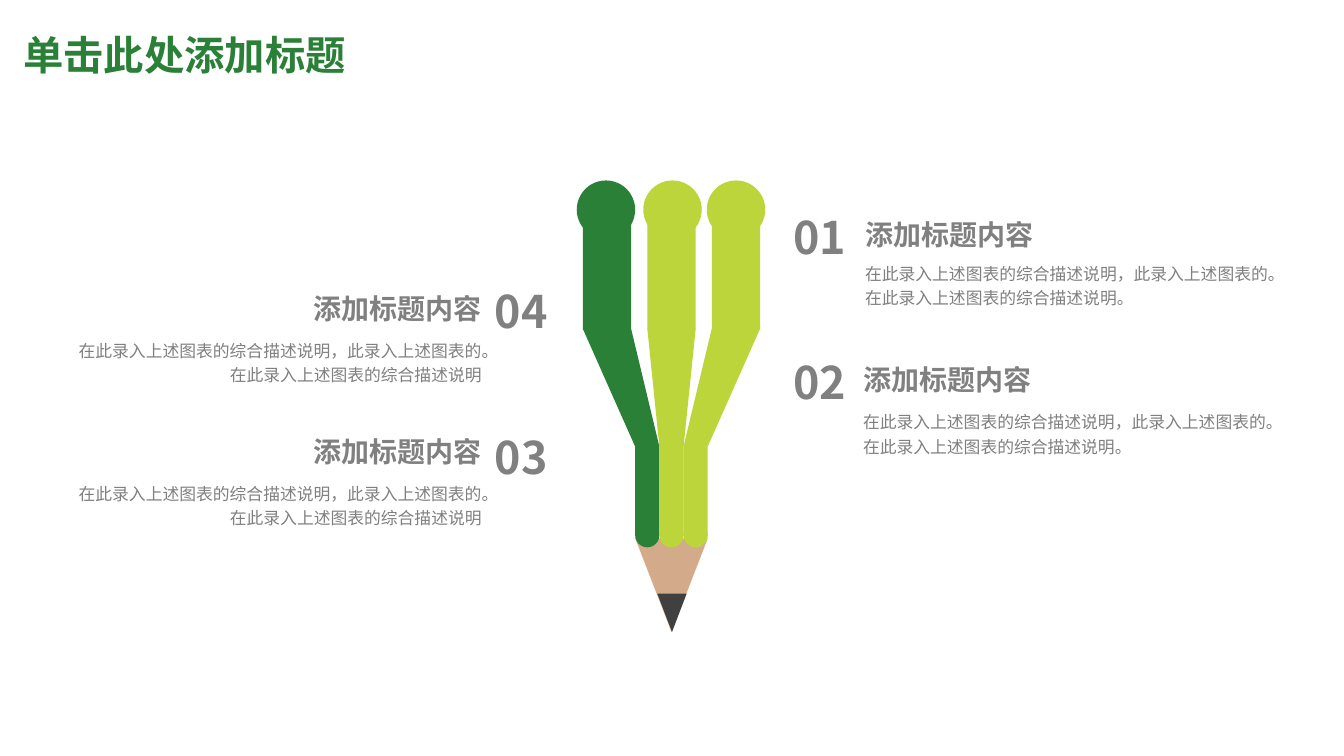
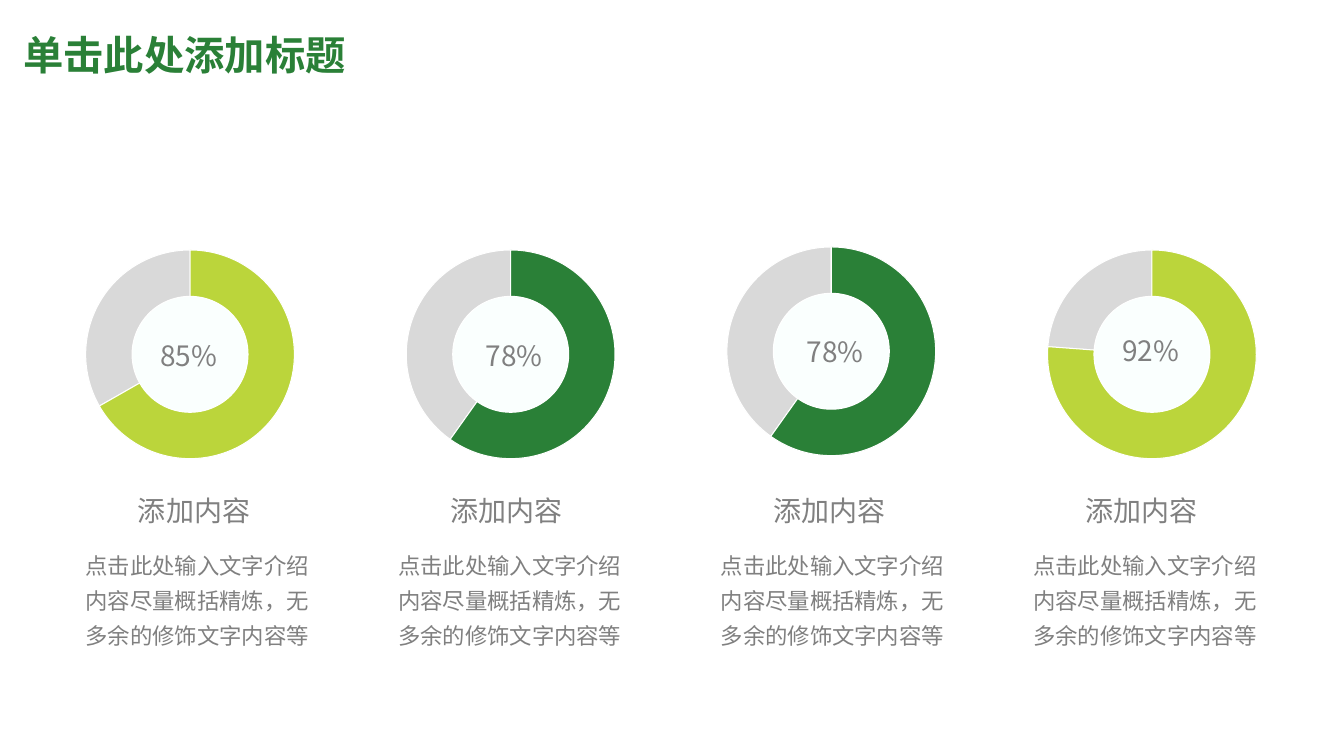
"""Build two slides: a three-strand pencil with four notes, and four ring gauges."""
from lxml import etree
from pptx import Presentation
from pptx.dml.color import RGBColor
from pptx.enum.shapes import MSO_SHAPE
from pptx.enum.text import MSO_ANCHOR, PP_ALIGN
from pptx.oxml import parse_xml
from pptx.oxml.ns import nsdecls, qn
from pptx.util import Inches, Pt

LEFT, RIGHT = PP_ALIGN.LEFT, PP_ALIGN.RIGHT
OVAL, RECT, PIE = MSO_SHAPE.OVAL, MSO_SHAPE.RECTANGLE, MSO_SHAPE.PIE
TRIANGLE = MSO_SHAPE.ISOSCELES_TRIANGLE
GREEN, LIME, GREY, WHITE = "2A8037", "BBD53B", "808080", "FFFFFF"
WOOD, LEAD, TRACK, HOLE = "D3AB8B", "404040", "D9D9D9", "FAFFFE"
FONT = "Noto Sans CJK SC"


def paint(shape, fill, outline=None):
    """Give a shape a flat fill and an optional outline."""
    shape.shadow.inherit = False
    shape.fill.solid()
    shape.fill.fore_color.rgb = RGBColor.from_string(fill)
    if outline:
        shape.line.color.rgb = RGBColor.from_string(outline)
        shape.line.width = Pt(0.75)
    else:
        shape.line.fill.background()


def write(shapes, text, box, size, bold=False, align=LEFT, spacing=None, wrap=True, inset=True):
    """Add a text box holding one grey run."""
    frame = shapes.add_textbox(*map(Inches, box)).text_frame
    frame.word_wrap = wrap
    if not inset:
        frame.margin_left = frame.margin_right = frame.margin_top = frame.margin_bottom = 0
    paragraph = frame.paragraphs[0]
    paragraph.alignment = align
    if spacing:
        paragraph.line_spacing = spacing
    run = paragraph.add_run()
    run.text = text
    run.font.name = FONT
    run.font.size = Pt(size)
    run.font.bold = bold
    run.font.color.rgb = RGBColor.from_string(GREY)
    etree.SubElement(run.font._element, qn("a:ea"), typeface=FONT)


prs = Presentation()
prs.slide_width, prs.slide_height = Inches(13.33), Inches(7.5)

layout = prs.slide_layouts[5]
heading = layout.placeholders[0]
heading.left, heading.top = Inches(0.13), Inches(0.27)
heading.width, heading.height = Inches(12), Inches(0.54)
heading.text_frame.vertical_anchor = MSO_ANCHOR.MIDDLE
heading.element.find(".//" + qn("a:lstStyle")).append(parse_xml(
    f'<a:lvl1pPr {nsdecls("a")} algn="l"><a:defRPr sz="2880" b="1">'
    f'<a:solidFill><a:srgbClr val="{GREEN}"/></a:solidFill>'
    f'<a:latin typeface="Calibri"/><a:ea typeface="{FONT}"/></a:defRPr></a:lvl1pPr>'))

pencil_slide, gauge_slide = [prs.slides.add_slide(layout) for _ in range(2)]
for slide in (pencil_slide, gauge_slide):
    slide.shapes.title.text_frame.paragraphs[0].add_run().text = "单击此处添加标题"

pencil = pencil_slide.shapes.add_group_shape().shapes
for color, box in ((WOOD, (6.3, 5.34, 0.72, 0.93)), (LEAD, (6.52, 5.89, 0.29, 0.38))):
    point = pencil.add_shape(TRIANGLE, *map(Inches, box))
    point.rotation = 180
    paint(point, color)

for i, (color, knob_x) in enumerate(((GREEN, 5.72), (LIME, 6.38), (LIME, 7.01))):
    bar_x, tip_x = 5.78 + 0.64 * i, 6.3 + 0.24 * i
    corners = [(bar_x, 3.26), (bar_x + 0.48, 3.26), (tip_x + 0.24, 4.43), (tip_x, 4.43)]
    points = [(Inches(x), Inches(y)) for x, y in corners]
    strand = pencil.build_freeform(*points[0], scale=1.0)
    strand.add_line_segments(points[1:], close=True)
    paint(strand.convert_to_shape(), color)
    for kind, box in (
        (RECT, (tip_x, 4.42, 0.24, 0.9)),
        (RECT, (bar_x, 2.22, 0.48, 1.05)),
        (OVAL, (tip_x, 5.19, 0.24, 0.24)),
        (OVAL, (knob_x, 1.79, 0.58, 0.58)),
    ):
        paint(pencil.add_shape(kind, *map(Inches, box)), color)

note = "在此录入上述图表的综合描述说明，此录入上述图表的。在此录入上述图表的综合描述说明"
for number, number_x, number_y, note_x, label_y, note_y, align, ending in (
    ("01", 7.77, 2.03, 8.58, 2.16, 2.58, LEFT, "。"),
    ("02", 7.77, 3.47, 8.56, 3.6, 4.05, LEFT, "。"),
    ("03", 4.81, 4.21, 0.68, 4.31, 4.76, RIGHT, ""),
    ("04", 4.81, 2.77, 0.68, 2.89, 3.34, RIGHT, ""),
):
    label_x = note_x if align == LEFT else note_x + 4.1 - 1.68
    shapes = pencil_slide.shapes
    write(shapes, number, (number_x, number_y, 0.76, 0.64), 32, bold=True, wrap=False)
    write(shapes, "添加标题内容", (label_x, label_y, 1.68, 0.34), 20, bold=True,
          align=align, wrap=False, inset=False)
    write(shapes, note + ending, (note_x, note_y, 4.1, 0.46), 12,
          align=align, spacing=1.2, inset=False)

for i, (percent, color, sweep, ring_y, percent_x, percent_y, text_x) in enumerate((
    ("85%", LIME, 240.3, 2.48, 1.49, 3.31, 0.75),
    ("78%", GREEN, 215.4, 2.48, 4.72, 3.31, 3.85),
    ("78%", GREEN, 215.4, 2.45, 7.9, 3.27, 7.05),
    ("92%", LIME, 274.2, 2.48, 11.03, 3.26, 10.15),
)):
    ring_x = 0.85 + 3.18 * i
    gauge = gauge_slide.shapes.add_group_shape().shapes
    for fill, start, end in ((TRACK, sweep, 0), (color, 0, sweep)):
        sector = gauge.add_shape(PIE, *map(Inches, (ring_x, ring_y, 2.07, 2.07)))
        sector.rotation = 270
        sector.adjustments[0] = start * 0.6
        sector.adjustments[1] = end * 0.6
        paint(sector, fill, WHITE)
    hole = gauge.add_shape(OVAL, *map(Inches, (ring_x + 0.46, ring_y + 0.46, 1.15, 1.15)))
    paint(hole, HOLE, WHITE)
    write(gauge, percent, (percent_x, percent_y, 0.85, 0.44), 20)
    write(gauge_slide.shapes, "添加内容", (text_x + 0.52, 4.85, 1.32, 0.44), 20, wrap=False)
    write(gauge_slide.shapes, "点击此处输入文字介绍内容尽量概括精炼，无多余的修饰文字内容等",
          (text_x, 5.35, 2.52, 1.15), 16, spacing=1.3)

prs.save("out.pptx")
